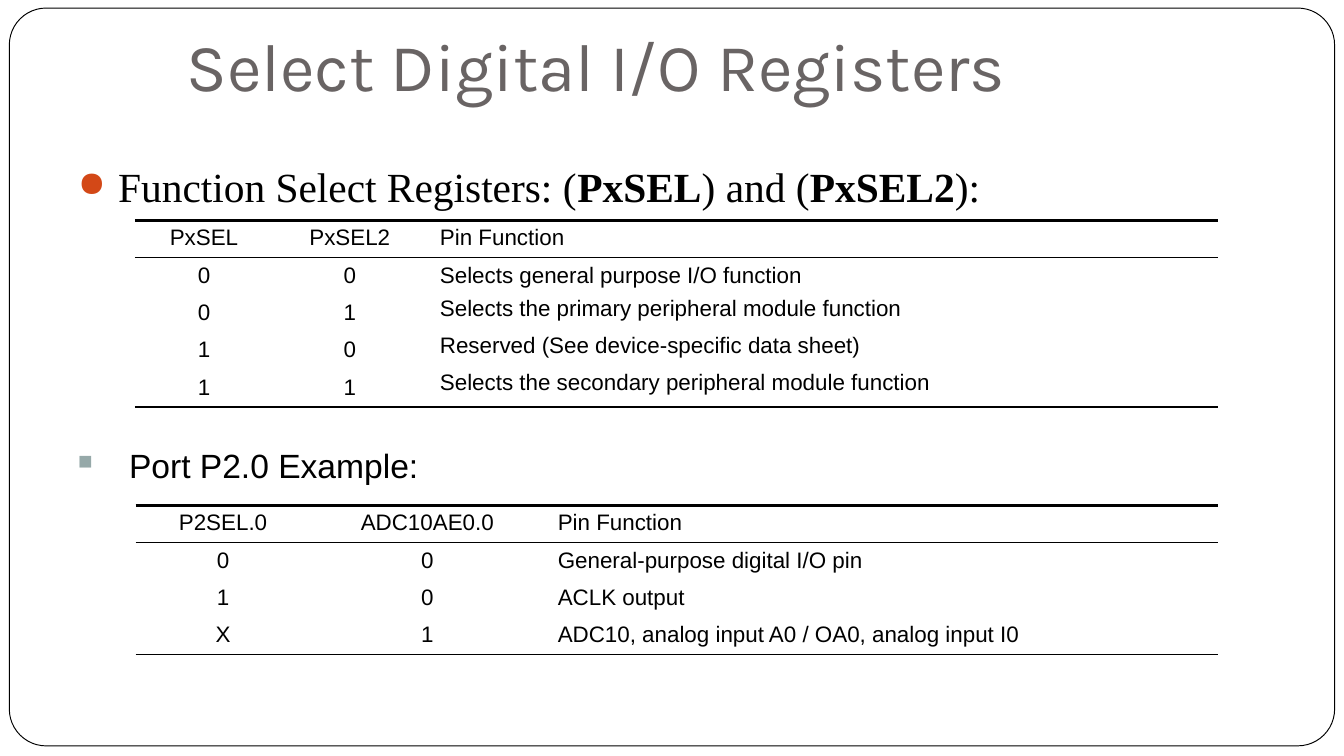
from typing import NamedTuple

import lxml.etree
import pptx
import pptx.dml.color
import pptx.enum.shapes
import pptx.enum.text
import pptx.oxml.ns
import pptx.util

Pt = pptx.util.Pt
qn = pptx.oxml.ns.qn
ALIGN = pptx.enum.text.PP_ALIGN
ANCHOR = pptx.enum.text.MSO_ANCHOR
BLACK, WHITE, GREY = "000000", "FFFFFF", "696464"


class Font(NamedTuple):
    name: str
    size: float
    color: str = BLACK


class Box(NamedTuple):
    left: float
    top: float
    width: float
    height: float


class Bullet(NamedTuple):
    sign: str
    color: str
    scale: int
    indent: float
    before: float


class Grid(NamedTuple):
    left: float
    top: float
    widths: list[float]
    rows: list[list[str]]
    tight: int  # first row whose last cell has 80% line spacing


def color(code: str) -> pptx.dml.color.RGBColor:
    return pptx.dml.color.RGBColor.from_string(code)


def add_run(para, text: str, font: Font, bold: bool = False) -> None:
    run = para.add_run()
    run.text = text
    run.font.name = font.name
    run.font.size = Pt(font.size)
    run.font.bold = bold
    run.font.color.rgb = color(font.color)


def add_text(slide, box: Box, parts: list[str], font: Font,
             bullet: Bullet | None = None, anchor=ANCHOR.TOP, foot: float = 3.6) -> None:
    """Draw one paragraph; every second part is bold."""
    frame = slide.shapes.add_textbox(*map(Pt, box)).text_frame
    frame.word_wrap = True
    frame.vertical_anchor = anchor
    frame.margin_bottom = Pt(foot)
    para = frame.paragraphs[0]
    for i, part in enumerate(parts):
        add_run(para, part, font, bold=i % 2 == 1)
    if bullet:
        add_bullet(para, bullet)


def add_bullet(para, bullet: Bullet) -> None:
    para.space_before = Pt(bullet.before)
    props = para._p.get_or_add_pPr()
    props.set("marL", str(Pt(bullet.indent)))
    props.set("indent", str(-Pt(bullet.indent)))
    tint = lxml.etree.SubElement(props, qn("a:buClr"))
    lxml.etree.SubElement(tint, qn("a:srgbClr"), val=bullet.color)
    lxml.etree.SubElement(props, qn("a:buSzPct"), val=str(bullet.scale * 1000))
    lxml.etree.SubElement(props, qn("a:buChar"), char=bullet.sign)


def set_rules(cell, top: float, bottom: float) -> None:
    """Set the cell borders; a width of 0 means no line."""
    props = cell._tc.get_or_add_tcPr()
    for i, (side, width) in enumerate(zip("LRTB", (0, 0, top, bottom))):
        line = lxml.etree.Element(qn(f"a:ln{side}"), w=str(Pt(width)))
        if width:
            fill = lxml.etree.SubElement(line, qn("a:solidFill"))
            lxml.etree.SubElement(fill, qn("a:srgbClr"), val=BLACK)
        else:
            lxml.etree.SubElement(line, qn("a:noFill"))
        props.insert(i, line)


def add_grid(slide, grid: Grid, font: Font, height: float = 19.85) -> None:
    count, last = len(grid.rows), len(grid.widths) - 1
    table = slide.shapes.add_table(
        count, last + 1, Pt(grid.left), Pt(grid.top),
        Pt(sum(grid.widths)), Pt(height * count)).table
    table.first_row = table.horz_banding = False
    for col, width in zip(table.columns, grid.widths):
        col.width = Pt(width)
    for r, texts in enumerate(grid.rows):
        table.rows[r].height = Pt(height)
        for c, text in enumerate(texts):
            cell = table.cell(r, c)
            cell.margin_top = cell.margin_bottom = Pt(2.8)
            cell.fill.background()
            set_rules(cell, {0: 2, 1: 1}.get(r, 0), 1 if r in (0, count - 1) else 0)
            para = cell.text_frame.paragraphs[0]
            para.alignment = ALIGN.LEFT if c == last else ALIGN.CENTER
            if c == last and r >= grid.tight:
                para.line_spacing = 0.8
            add_run(para, text, font)


def main() -> None:
    deck = pptx.Presentation()
    deck.slide_width, deck.slide_height = Pt(720), Pt(405)
    slide = deck.slides.add_slide(deck.slide_layouts[6])

    # Frame
    frame = slide.shapes.add_shape(
        pptx.enum.shapes.MSO_SHAPE.ROUNDED_RECTANGLE, Pt(5), Pt(4.3), Pt(710), Pt(395.3))
    frame.adjustments[0] = 0.05
    frame.shadow.inherit = False
    frame.fill.solid()
    frame.fill.fore_color.rgb = color(WHITE)
    frame.line.color.rgb = color(BLACK)
    frame.line.width = Pt(0.5)

    # Title
    add_text(slide, Box(92.9, 12.2, 613.4, 51.1), ["Select Digital I/O Registers"],
             Font("Karla", 36, GREY), anchor=ANCHOR.BOTTOM, foot=7.2)

    # Function select registers
    add_text(slide, Box(34.6, 82.8, 641.5, 28.8),
             ["Function Select Registers: (", "PxSEL", ") and (", "PxSEL2", "):"],
             Font("Times New Roman", 22.2), Bullet("●", "D34817", 85, 21.6, 5.8), foot=0)
    small = Font("Arial", 12)
    add_grid(slide, Grid(72.2, 118, [74.2, 82.1, 424.1], [
        ["PxSEL", "PxSEL2", "Pin Function"],
        ["0", "0", "Selects general purpose I/O function"],
        ["0", "1", "Selects the primary peripheral module function"],
        ["1", "0", "Reserved (See device-specific data sheet)"],
        ["1", "1", "Selects the secondary peripheral module function"],
    ], tight=2), small)

    # Port example
    add_text(slide, Box(34.6, 234.7, 635, 28.1), ["Port P2.0 Example:"],
             Font("Arial", 18), Bullet("■", "96A9A9", 60, 27.4, 3.6))
    add_grid(slide, Grid(72.7, 270.7, [93.6, 125.3, 361], [
        ["P2SEL.0", "ADC10AE0.0", "Pin Function"],
        ["0", "0", "General-purpose digital I/O pin"],
        ["1", "0", "ACLK output"],
        ["X", "1", "ADC10, analog input A0 / OA0, analog input I0"],
    ], tight=4), small)

    deck.save("out.pptx")


if __name__ == "__main__":
    main()
